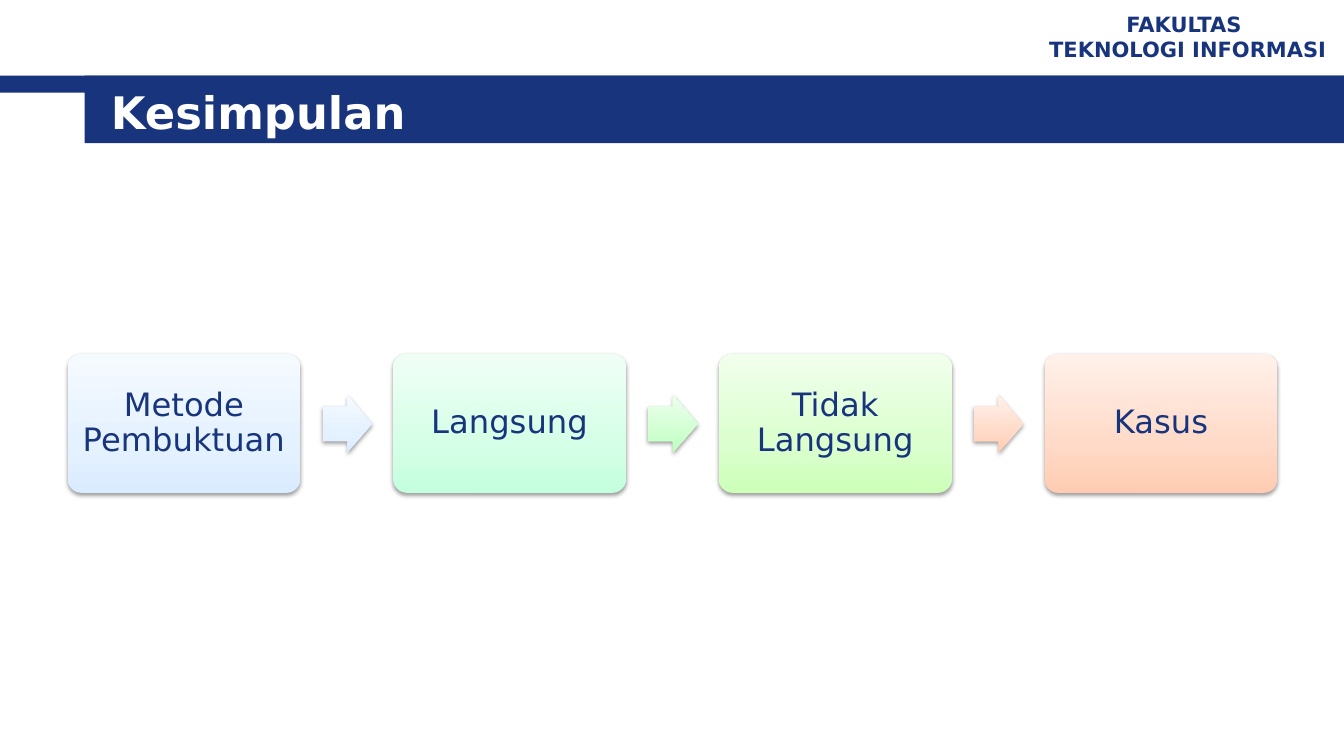
"""Build the Kesimpulan slide: a header band and a four-step process row."""
from lxml.etree import SubElement
from pptx import Presentation
from pptx.dml.color import RGBColor
from pptx.enum.shapes import MSO_SHAPE as Shape
from pptx.enum.text import MSO_ANCHOR as Anchor, PP_ALIGN as Align
from pptx.oxml import parse_xml
from pptx.oxml.ns import nsdecls, qn
from pptx.util import Inches, Pt

NAVY = "17347D"
BLUE = ("DAECFF", "E4F1FF", "F5FAFF")
MINT = ("C4FFDE", "D5FFE7", "EFFFF6")
GREEN = ("BCFFBE", "D0FFD1", "EDFFED")
LIME = ("CDFFB9", "DBFFCE", "F1FFEC")
PEACH = ("FFCCB1", "FFDAC8", "FFF1EA")


def write(frame, lines, size, color, bold, align):
    frame.word_wrap = True
    frame.vertical_anchor = Anchor.MIDDLE
    for index, line in enumerate(lines):
        para = frame.paragraphs[0] if index == 0 else frame.add_paragraph()
        para.alignment = align
        span = para.add_run()
        span.text = line
        span.font.color.rgb = RGBColor.from_string(color)
        for name, value in {"name": "DejaVu Sans", "size": Pt(size), "bold": bold}.items():
            setattr(span.font, name, value)


def shade(shape, colors):
    shape.line.fill.background()
    shape.fill.gradient()
    shape.fill.gradient_angle = 90
    stops = shape.element.spPr.find(qn("a:gradFill")).find(qn("a:gsLst"))
    for stop in list(stops):
        stops.remove(stop)
    for position, color in zip((0, 35000, 100000), colors):
        stop = SubElement(stops, qn("a:gs"), pos=str(position))
        SubElement(stop, qn("a:srgbClr"), val=color)
    shape.shadow.inherit = False
    shape.element.spPr.find(qn("a:effectLst")).append(parse_xml(
        f'<a:outerShdw {nsdecls("a")} blurRad="40000" dist="20000" dir="5400000" rotWithShape="0">'
        '<a:srgbClr val="000000"><a:alpha val="38000"/></a:srgbClr></a:outerShdw>'))


deck = Presentation()
deck.slide_width, deck.slide_height = Inches(13.33), Inches(7.5)
page = deck.slides.add_slide(deck.slide_layouts[5])
shapes = page.shapes

for left, width, height in ((0, 13.33, 0.17), (0.84, 12.49, 0.67)):
    band = shapes.add_shape(Shape.RECTANGLE, Inches(left), Inches(0.75), Inches(width), Inches(height))
    band.shadow.inherit = False
    band.fill.solid()
    band.fill.fore_color.rgb = RGBColor.from_string(NAVY)
    band.line.fill.background()

faculty = shapes.add_textbox(Inches(10.23), Inches(0.05), Inches(3.1), Inches(0.62))
write(faculty.text_frame, ["FAKULTAS ", "TEKNOLOGI INFORMASI"], 15, NAVY, True, Align.CENTER)

title = shapes.title
for name, value in {"left": 1, "top": 0.8, "width": 11.89, "height": 0.62}.items():
    setattr(title, name, Inches(value))
write(title.text_frame, ["Kesimpulan"], 32, "FFFFFF", True, Align.LEFT)
title.element.getparent().append(title.element)

steps = (
    ("Metode Pembuktuan", BLUE, BLUE),
    ("Langsung", MINT, GREEN),
    ("Tidak Langsung", LIME, PEACH),
    ("Kasus", PEACH, None),
)
for index, (label, box_colors, arrow_colors) in enumerate(steps):
    left = 0.67 + 3.23 * index
    box = shapes.add_shape(Shape.ROUNDED_RECTANGLE, Inches(left), Inches(3.51), Inches(2.31), Inches(1.38))
    box.adjustments[0] = 0.1
    shade(box, box_colors)
    frame = box.text_frame
    for side in ("left", "top", "right", "bottom"):
        setattr(frame, f"margin_{side}", Inches(0.1))
    write(frame, [label], 23, NAVY, False, Align.CENTER)
    frame.paragraphs[0].line_spacing = 0.9
    if arrow_colors:
        arrow = shapes.add_shape(Shape.RIGHT_ARROW, Inches(left + 2.53), Inches(3.92), Inches(0.49), Inches(0.57))
        arrow.adjustments[0] = 0.6
        arrow.adjustments[1] = 0.5
        shade(arrow, arrow_colors)

deck.save("out.pptx")
